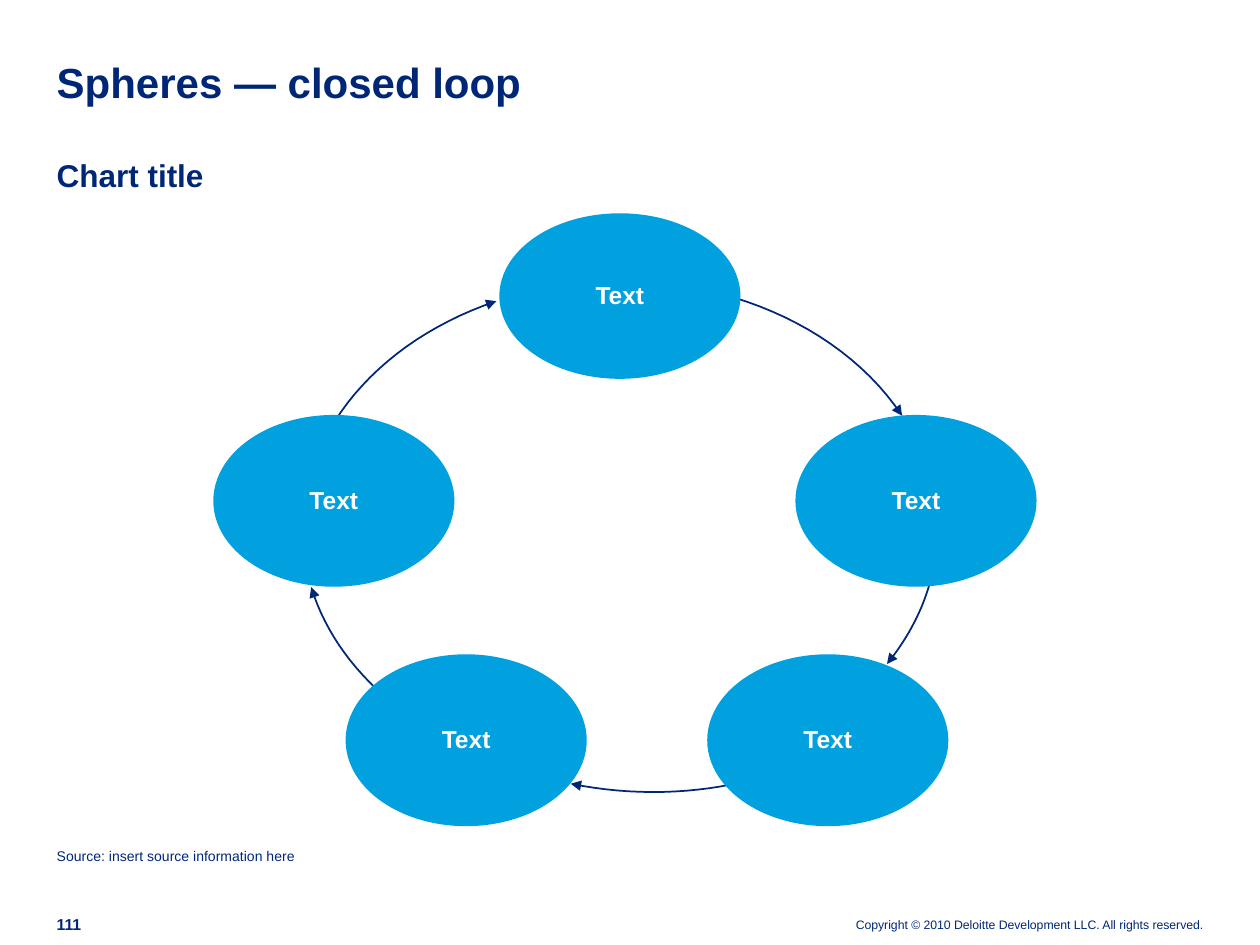
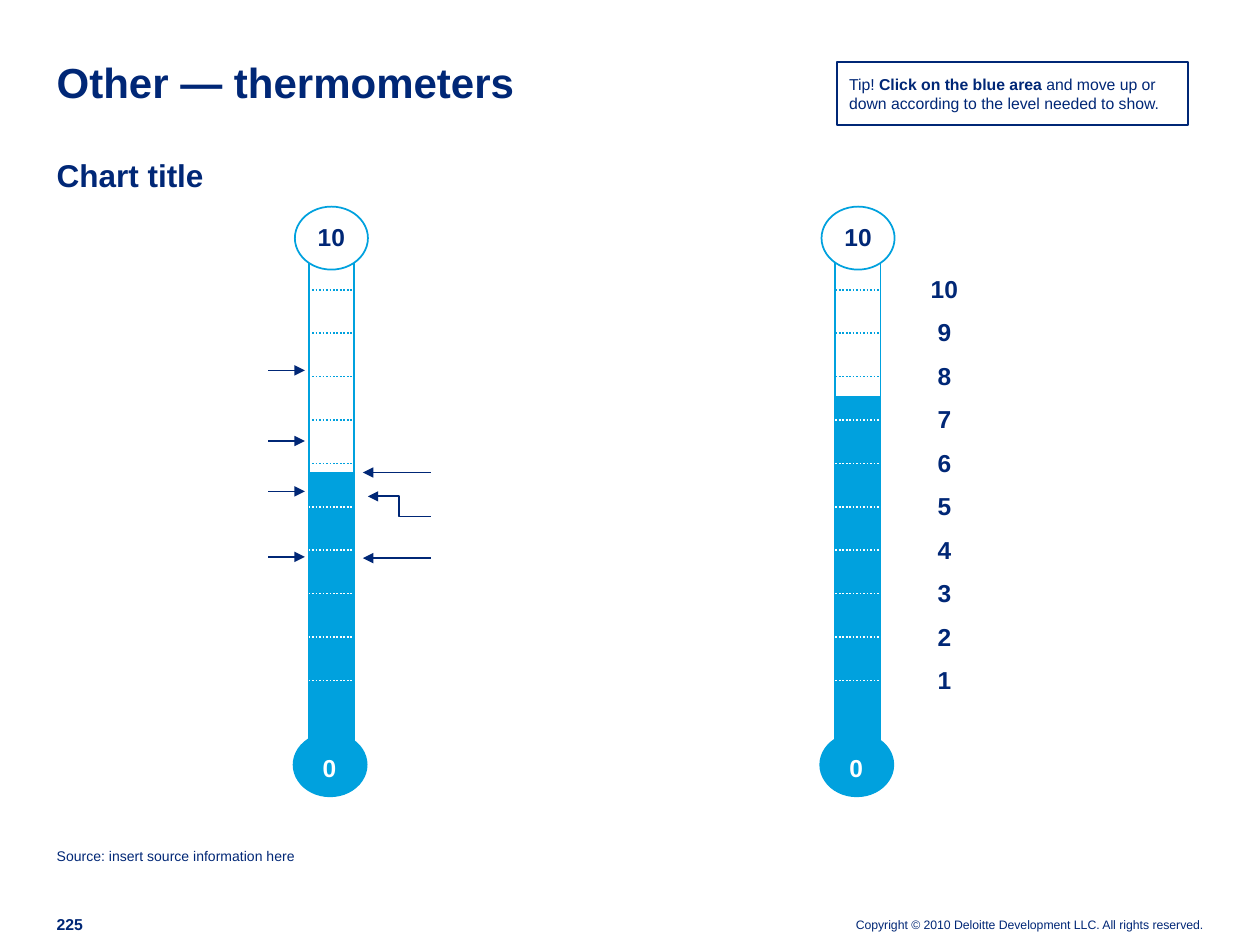
from dataclasses import dataclass
from lxml.etree import SubElement
from pptx import Presentation
from pptx.dml.color import RGBColor as RGB
from pptx.enum.dml import MSO_LINE as Dash
from pptx.enum.shapes import MSO_CONNECTOR as Link, MSO_SHAPE as Kind
from pptx.enum.text import MSO_ANCHOR as Anchor, MSO_AUTO_SIZE as Fit, PP_ALIGN as Align
from pptx.oxml.ns import qn
from pptx.util import Inches, Pt


@dataclass(frozen=True)
class Theme:
    font: str = "Arial"
    navy: RGB = RGB(0x00, 0x27, 0x76)
    blue: RGB = RGB(0x00, 0xA1, 0xDE)
    white: RGB = RGB(0xFF, 0xFF, 0xFF)
    title: int = 24
    head: int = 18
    label: int = 14
    note: int = 9
    source: int = 8
    legal: int = 7


look = Theme()


def put(slide, box, text="", size=look.label, color=look.navy, bold=True, align=Align.LEFT,
        anchor=Anchor.TOP, pad=(0, 0), space=None, kind=None, fill=None, edge=None):
    """Add a preset shape, or a text box if no kind is given, and its text."""
    area = [Inches(v) for v in box]
    if kind is None:
        item = slide.shapes.add_textbox(*area)
    else:
        item = slide.shapes.add_shape(kind, *area)
        item.shadow.inherit = False
        if fill is None:
            item.fill.background()
        else:
            item.fill.solid()
            item.fill.fore_color.rgb = fill
        if edge is None:
            item.line.fill.background()
        else:
            item.line.color.rgb = edge
            item.line.width = Pt(1)
    frame = item.text_frame
    frame.word_wrap = True
    frame.vertical_anchor = anchor
    frame.margin_left = frame.margin_right = Inches(pad[0])
    frame.margin_top = frame.margin_bottom = Inches(pad[1])
    if text:
        par = frame.paragraphs[0]
        par.text = text
        par.alignment = align
        par.line_spacing = space
        font = par.runs[0].font
        font.name, font.size, font.bold = look.font, Pt(size), bold
        font.color.rgb = color
    return item


def ink(item, color=look.navy, arrow=True):
    """Style a line: arrow at its end, or dotted without one."""
    item.line.color.rgb = color
    item.line.width = Pt(1)
    props = item._element.spPr
    if arrow:
        SubElement(props.find(qn("a:ln")), qn("a:tailEnd"), type="triangle")
    else:
        item.line.dash_style = Dash.ROUND_DOT
    SubElement(props, qn("a:effectLst"))


deck = Presentation()
deck.slide_width, deck.slide_height = Inches(10), Inches(7.5)

# Frame shared by both slides
slides = []
for title, number in (("Spheres — closed loop", "111"), ("Other — thermometers", "225")):
    slide = deck.slides.add_slide(deck.slide_layouts[5])
    slides.append(slide)
    head = slide.shapes.title
    head.left, head.top, head.width, head.height = [Inches(v) for v in (0.45, 0.49, 9.11, 0.36)]
    frame = head.text_frame
    frame.text = title
    frame.auto_size = Fit.NONE
    frame.vertical_anchor = Anchor.BOTTOM
    frame.margin_left = frame.margin_right = frame.margin_top = frame.margin_bottom = 0
    par = frame.paragraphs[0]
    par.alignment, par.line_spacing = Align.LEFT, Pt(26)
    font = par.runs[0].font
    font.name, font.size, font.bold = look.font, Pt(look.title), True
    font.color.rgb = look.navy

    put(slide, (0.45, 1.24, 2.14, 0.3), "Chart title", look.head)
    put(slide, (0.45, 6.73, 4.37, 0.14), "Source: insert source information here",
        look.source, bold=False)
    put(slide, (0.45, 7.26, 0.29, 0.15), number, look.note, anchor=Anchor.BOTTOM)
    put(slide, (6.52, 7.28, 3.03, 0.12),
        "Copyright © 2010 Deloitte Development LLC. All rights reserved.",
        look.legal, bold=False, align=Align.RIGHT, anchor=Anchor.BOTTOM)

loop, gauge = slides

# Clockwise arcs: start, two control points, end
arcs = (
    ((4.92, 2.23), (5.86, 2.23), (6.72, 2.64), (7.16, 3.3)),
    ((7.44, 4.2), (7.44, 4.58), (7.3, 4.95), (7.04, 5.27)),
    ((6.6, 5.94), (6.02, 6.26), (5.27, 6.37), (4.53, 6.22)),
    ((3.74, 5.95), (3.1, 5.68), (2.64, 5.21), (2.47, 4.66)),
    ((2.43, 3.9), (2.57, 3.23), (3.14, 2.66), (3.94, 2.39)),
)
steps = 24
for arc in arcs:
    dots = []
    for n in range(steps + 1):
        t = n / steps
        mix = ((1 - t) ** 3, 3 * t * (1 - t) ** 2, 3 * t * t * (1 - t), t ** 3)
        dots.append([Inches(sum(m * p[axis] for m, p in zip(mix, arc))) for axis in (0, 1)])
    pen = loop.shapes.build_freeform(*dots[0])
    pen.add_line_segments(dots[1:], close=False)
    curve = pen.convert_to_shape()
    curve.fill.background()
    ink(curve)

for x, y, tall in ((5.62, 5.2, 1.35), (1.7, 3.3, 1.35), (2.75, 5.2, 1.35),
                   (6.32, 3.3, 1.35), (3.97, 1.7, 1.3)):
    put(loop, (x, y, 1.9, tall), "Text", color=look.white, align=Align.CENTER,
        anchor=Anchor.MIDDLE, space=0.95, kind=Kind.OVAL, fill=look.blue, edge=look.blue)

# Thermometers: left edge of the stem and top of the level
top, gap = 2.3, 3.1 / 9
mid = dict(align=Align.CENTER, space=0.95)
for x, level in ((2.45, 3.75), (6.63, 3.15)):
    put(gauge, (x, 1.8, 0.36, 4.21), kind=Kind.RECTANGLE, fill=look.white, edge=look.blue)
    put(gauge, (x, level, 0.36, 2.38), kind=Kind.RECTANGLE, fill=look.blue,
        edge=look.blue).height = Inches(6.13 - level)
    for n in range(10):
        y = top + n * gap
        tick = gauge.shapes.add_connector(Link.STRAIGHT, Inches(x), Inches(y),
                                          Inches(x + 0.35), Inches(y))
        ink(tick, look.white if y > level else look.blue, arrow=False)
    put(gauge, (x - 0.12, 5.82, 0.58, 0.5), kind=Kind.OVAL, fill=look.blue, edge=look.blue)
    put(gauge, (x + 0.01, 5.78, 0.33, 0.12), kind=Kind.RECTANGLE, fill=look.blue)
    put(gauge, (x - 0.1, 5.94, 0.53, 0.32), "0", color=look.white, pad=(0.1, 0.05), **mid)
    put(gauge, (x - 0.11, 1.64, 0.58, 0.5), kind=Kind.OVAL, fill=look.white, edge=look.blue)
    put(gauge, (x - 0.09, 1.73, 0.54, 0.32), "10", pad=(0.1, 0.05), **mid)

for n in range(10):
    put(gauge, (7.09, 2.19 + n * 0.345, 0.81, 0.22), str(10 - n), **mid)

marks = [(Link.STRAIGHT, 2.13, y, 2.42, y) for y in (2.94, 3.5, 3.9, 4.42)]
marks += [(Link.STRAIGHT, 3.42, y, 2.88, y) for y in (3.75, 4.43)]
marks.append((Link.ELBOW, 3.42, 4.1, 2.92, 3.94))
for kind, *ends in marks:
    ink(gauge.shapes.add_connector(kind, *[Inches(v) for v in ends]))

tip = put(gauge, (6.64, 0.49, 2.79, 0.5), "Tip! ", look.note, bold=False, pad=(0.1, 0.1),
          kind=Kind.RECTANGLE, edge=look.navy)
for text, bold in (("Click on the blue area ", True),
                   ("and move up or down according to the level needed to show.", False)):
    run = tip.text_frame.paragraphs[0].add_run()
    run.text = text
    run.font.name, run.font.size, run.font.bold = look.font, Pt(look.note), bold
    run.font.color.rgb = look.navy

deck.save("out.pptx")
